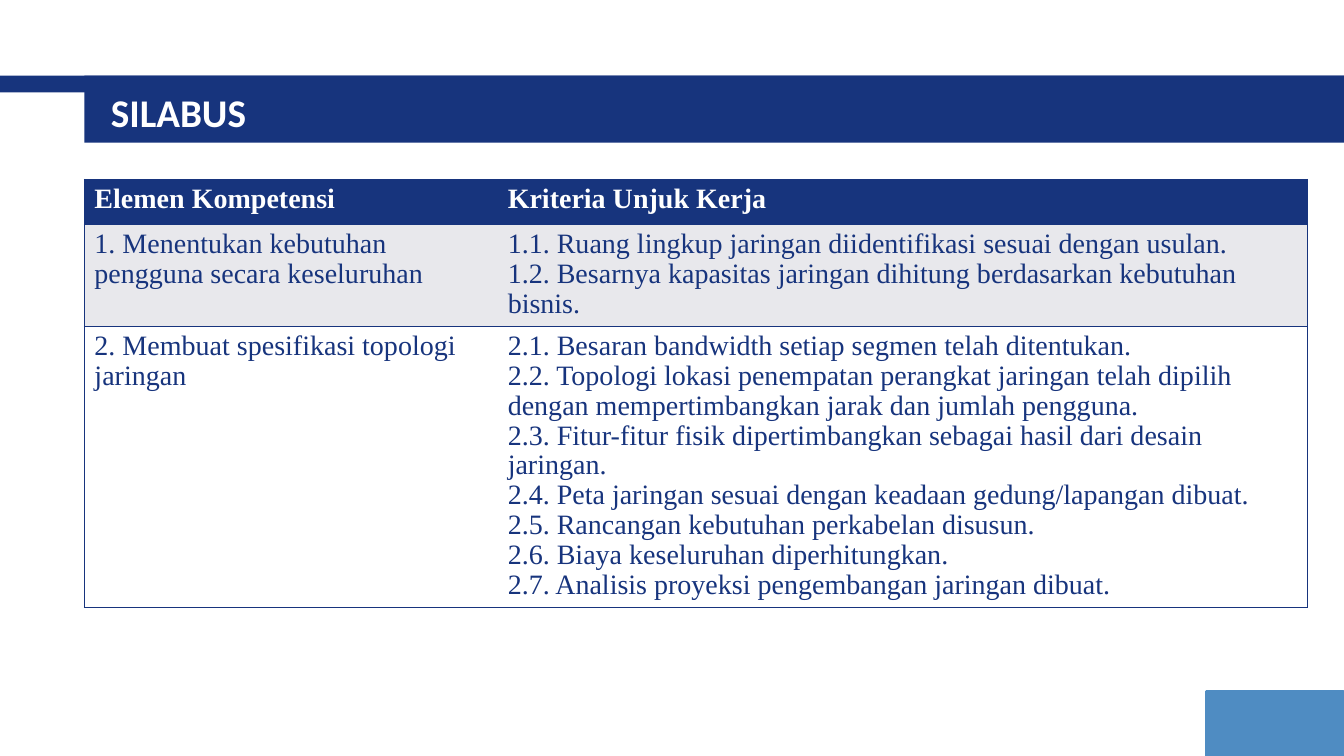
from dataclasses import dataclass

from lxml.etree import SubElement
from pptx import Presentation
from pptx.dml.color import RGBColor
from pptx.enum.shapes import MSO_SHAPE as SHAPE
from pptx.enum.text import MSO_ANCHOR as ANCHOR, PP_ALIGN as ALIGN
from pptx.oxml.ns import qn
from pptx.util import Pt


@dataclass(frozen=True)
class Theme:
    navy: str = "17347D"
    sky: str = "4F8CC2"
    grey: str = "E8E8EC"
    white: str = "FFFFFF"
    title_font: str = "Calibri"
    table_font: str = "Times New Roman"
    title_size: int = 28
    table_size: int = 20
    line_spacing: float = 0.96


THEME = Theme()

HEADER = ("Elemen Kompetensi", "Kriteria Unjuk Kerja")
COMPETENCIES = [
    (
        ["1. Menentukan kebutuhan", "pengguna secara keseluruhan"],
        [
            "1.1. Ruang lingkup jaringan diidentifikasi sesuai dengan usulan.",
            "1.2. Besarnya kapasitas jaringan dihitung berdasarkan kebutuhan bisnis.",
        ],
    ),
    (
        ["2. Membuat spesifikasi topologi", "jaringan"],
        [
            "2.1. Besaran bandwidth setiap segmen telah ditentukan.",
            "2.2. Topologi lokasi penempatan perangkat jaringan telah dipilih "
            "dengan mempertimbangkan jarak dan jumlah pengguna.",
            "2.3. Fitur-fitur fisik dipertimbangkan sebagai hasil dari desain jaringan.",
            "2.4. Peta jaringan sesuai dengan keadaan gedung/lapangan dibuat.",
            "2.5. Rancangan kebutuhan perkabelan disusun.",
            "2.6. Biaya keseluruhan diperhitungkan.",
            "2.7. Analisis proyeksi pengembangan jaringan dibuat.",
        ],
    ),
]


def add_block(s, left, top, width, height, color):
    sp = s.shapes.add_shape(SHAPE.RECTANGLE, Pt(left), Pt(top), Pt(width), Pt(height))
    sp.shadow.inherit = False
    sp.fill.solid()
    sp.fill.fore_color.rgb = RGBColor.from_string(color)
    sp.line.fill.background()
    return sp


def add_run(p, text, font, size, color, bold):
    r = p.add_run()
    r.text = text
    r.font.name = font
    r.font.size = Pt(size)
    r.font.bold = bold
    r.font.color.rgb = RGBColor.from_string(color)


def set_title(s, text):
    """Place the title in front of the banner and fill it."""
    title = s.shapes.title
    title.left, title.top, title.width, title.height = Pt(72), Pt(57.6), Pt(856), Pt(44.6)
    title.element.getparent().append(title.element)
    tf = title.text_frame
    tf.word_wrap = True
    tf.vertical_anchor = ANCHOR.MIDDLE
    p = tf.paragraphs[0]
    p.alignment = ALIGN.LEFT
    add_run(p, text, THEME.title_font, THEME.title_size, THEME.white, True)


def set_borders(cell, sides):
    """Draw the named sides (out of L, R, T, B) and clear the others."""
    tc_pr = cell._tc.get_or_add_tcPr()
    for i, side in enumerate("LRTB"):
        ln = tc_pr.makeelement(qn(f"a:ln{side}"), {"w": str(Pt(1))})
        tc_pr.insert(i, ln)
        if side in sides:
            fill = SubElement(ln, qn("a:solidFill"))
            SubElement(fill, qn("a:srgbClr"), val=THEME.navy)
        else:
            SubElement(ln, qn("a:noFill"))


def fill_cell(cell, lines, fill, color, bold):
    cell.fill.solid()
    cell.fill.fore_color.rgb = RGBColor.from_string(fill)
    tf = cell.text_frame
    for i, line in enumerate(lines):
        p = tf.add_paragraph() if i else tf.paragraphs[0]
        p.line_spacing = THEME.line_spacing
        add_run(p, line, THEME.table_font, THEME.table_size, color, bold)


def add_syllabus(s):
    widths, heights = (295.2, 578.2), (32.4, 72.7, 200.9)
    rows = [([HEADER[0]], [HEADER[1]]), *COMPETENCIES]
    styles = [
        (THEME.navy, THEME.white, True),
        (THEME.grey, THEME.navy, False),
        (THEME.white, THEME.navy, False),
    ]
    table = s.shapes.add_table(
        len(rows), len(widths), Pt(60.3), Pt(128.2), Pt(sum(widths)), Pt(sum(heights))
    ).table
    for column, width in zip(table.columns, widths):
        column.width = Pt(width)
    for row, height, texts, style in zip(table.rows, heights, rows, styles):
        row.height = Pt(height)
        for cell, lines, sides in zip(row.cells, texts, ("LTB", "RTB")):
            fill_cell(cell, lines, *style)
            set_borders(cell, sides)


def main():
    prs = Presentation()
    prs.slide_width, prs.slide_height = Pt(960), Pt(540)
    s = prs.slides.add_slide(prs.slide_layouts.get_by_name("Title Only"))
    add_block(s, 0, 54, 960, 12, THEME.navy)
    add_block(s, 60.3, 54, 899.7, 48, THEME.navy)
    corner = add_block(s, 861.8, 493.9, 98.2, 46.1, THEME.sky)
    corner.line.color.rgb = RGBColor.from_string(THEME.sky)
    corner.line.width = Pt(2)
    add_syllabus(s)
    set_title(s, "SILABUS")
    prs.save("out.pptx")


if __name__ == "__main__":
    main()
